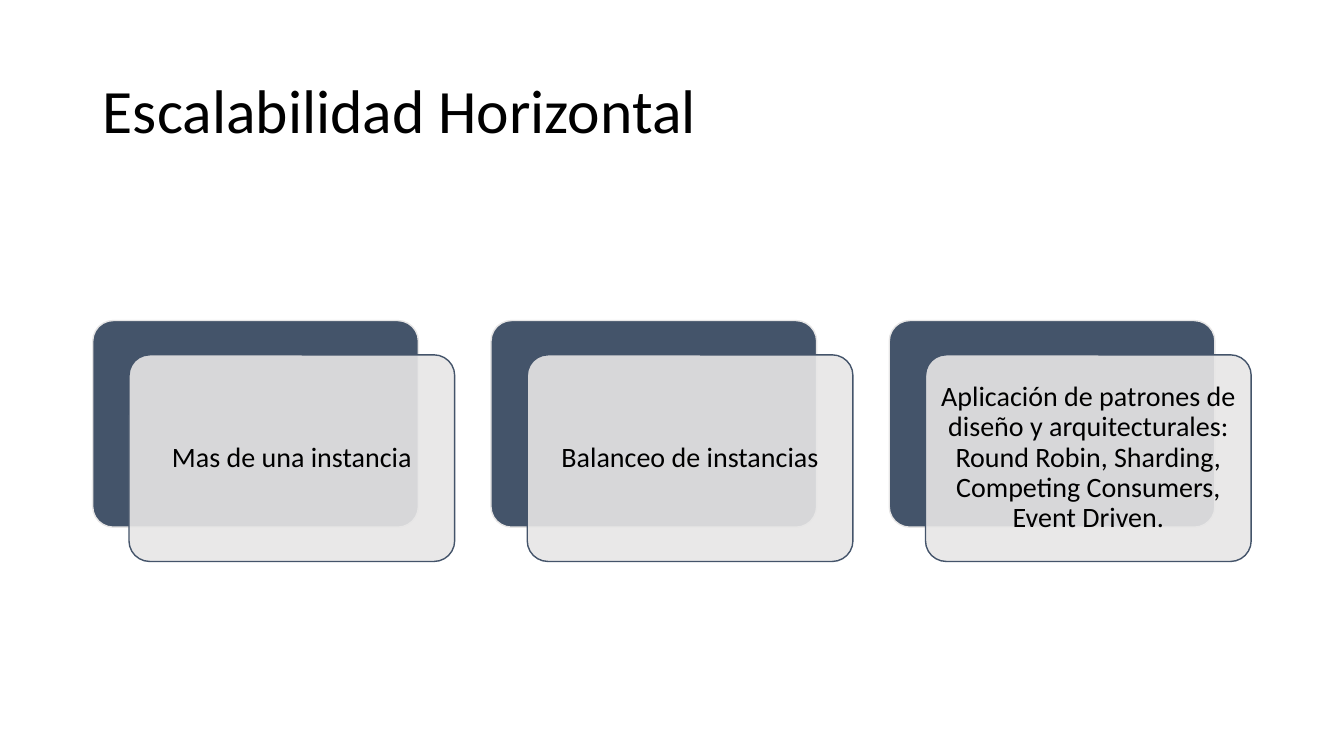
from lxml.etree import SubElement
from pptx import Presentation
from pptx.dml.color import RGBColor
from pptx.enum.shapes import MSO_SHAPE
from pptx.enum.text import MSO_ANCHOR, PP_ALIGN
from pptx.oxml.ns import qn
from pptx.util import Emu, Pt

PX = 9144  # EMU per px, 100 px to the inch
COLORS = {"text": "000000", "slate": "44546A", "mist": "E7E6E6", "page": "FFFFFF"}
FONT = "Calibri"

CARD_TEXTS = [
    "Mas de una instancia",
    "Balanceo de instancias",
    "Aplicación de patrones de diseño y arquitecturales: "
    "Round Robin, Sharding, Competing Consumers, Event Driven.",
]
CARD_LEFT, CARD_TOP, CARD_WIDTH, CARD_HEIGHT = 92, 318, 323, 205
CARD_PITCH = 395
FRONT_SHIFT_X, FRONT_SHIFT_Y = 36, 34


def color(name):
    return RGBColor.from_string(COLORS[name])


class SlideBuilder:
    def __init__(self, deck):
        self.page = deck.slides.add_slide(deck.slide_layouts[5])
        self.page.background.fill.solid()
        self.page.background.fill.fore_color.rgb = color("page")

    def set_text(self, shape, text, size, align):
        frame = shape.text_frame
        frame.word_wrap = True
        frame.vertical_anchor = MSO_ANCHOR.MIDDLE
        para = frame.paragraphs[0]
        para.text = text
        para.alignment = align
        para.line_spacing = 0.9
        para.font.name = FONT
        para.font.size = Pt(size)
        para.font.color.rgb = color("text")

    def title(self, text, left, top, width, height):
        title = self.page.shapes.title
        title.left, title.top = Emu(left * PX), Emu(top * PX)
        title.width, title.height = Emu(width * PX), Emu(height * PX)
        self.set_text(title, text, 44, PP_ALIGN.LEFT)

    def panel(self, left, top, fill, line, opacity=100):
        panel = self.page.shapes.add_shape(
            MSO_SHAPE.ROUNDED_RECTANGLE,
            *(Emu(n * PX) for n in (left, top, CARD_WIDTH, CARD_HEIGHT)))
        panel.adjustments[0] = 0.1
        panel.shadow.inherit = False
        panel.fill.solid()
        panel.fill.fore_color.rgb = color(fill)
        panel.line.color.rgb = color(line)
        panel.line.width = Pt(1)
        if opacity < 100:
            fill_color = panel.element.spPr.find(qn("a:solidFill"))[0]
            SubElement(fill_color, qn("a:alpha"), val=str(opacity * 1000))
        return panel

    def card(self, text, left, top):
        self.panel(left, top, "slate", "mist")
        front = self.panel(left + FRONT_SHIFT_X, top + FRONT_SHIFT_Y,
                           "mist", "slate", opacity=90)
        frame = front.text_frame
        frame.margin_left = frame.margin_right = Emu(8 * PX)
        frame.margin_top = frame.margin_bottom = Emu(8 * PX)
        self.set_text(front, text, 20, PP_ALIGN.CENTER)


def main():
    deck = Presentation()
    deck.slide_width, deck.slide_height = Emu(1333 * PX), Emu(750 * PX)
    builder = SlideBuilder(deck)

    # Title
    builder.title("Escalabilidad Horizontal", 92, 40, 1150, 145)

    # Row of layered cards
    for index, text in enumerate(CARD_TEXTS):
        builder.card(text, CARD_LEFT + index * CARD_PITCH, CARD_TOP)

    deck.save("out.pptx")


if __name__ == "__main__":
    main()
